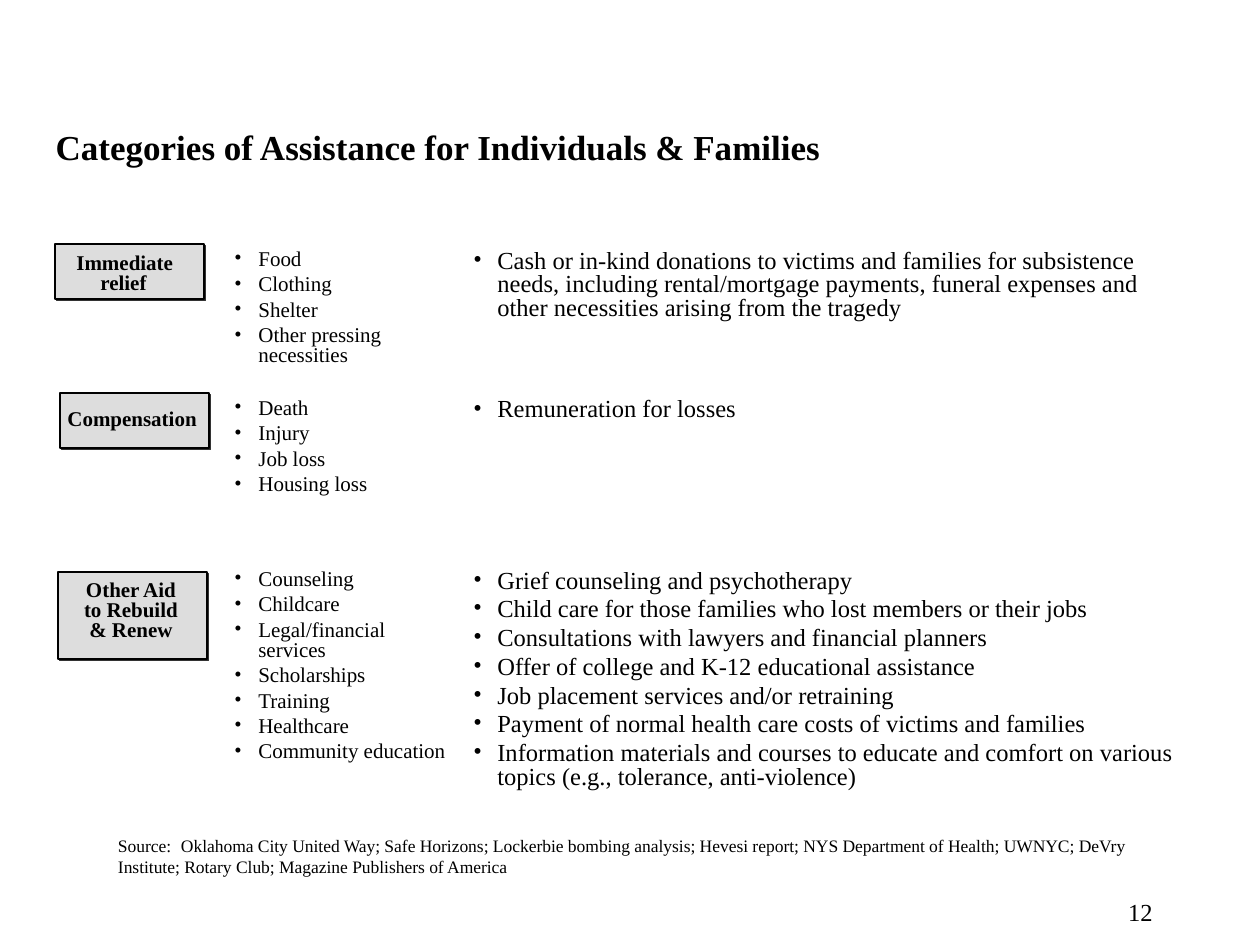
from copy import deepcopy

from lxml import etree
from pptx import Presentation
from pptx import util as u
from pptx.dml.color import RGBColor
from pptx.enum import shapes, text
from pptx.oxml.ns import qn

# Content: places are left, top, width, height in px
PX = 7257.14  # EMU per px, at 126 px to the inch
FONT, INK, PANEL, SHADE = "Times New Roman", "000000", "DDDDDD", "333333"
HANG = 24
LIST_LEFT, DETAIL_LEFT = 222, 461

TITLE = "Categories of Assistance for Individuals & Families"
SOURCE = (
    "Source:\tOklahoma City United Way; Safe Horizons; Lockerbie bombing analysis; "
    "Hevesi report; NYS Department of Health; UWNYC; DeVry Institute; Rotary Club; "
    "Magazine Publishers of America"
)
PAGE_NUMBER = "12"

CATEGORIES = [
    {
        "name": "Immediate relief", "centred": False,
        "panel": (55, 244, 149, 55), "label": (64, 248, 130, 53),
        "top": 244, "list_size": (257, 130), "detail_size": (722, 107),
        "list": ["Food", "Clothing", "Shelter", "Other pressing necessities"],
        "details": [
            "Cash or in-kind donations to victims and families for subsistence "
            "needs, including rental/mortgage payments, funeral expenses and "
            "other necessities arising from the tragedy",
        ],
    },
    {
        "name": "Compensation", "centred": False,
        "panel": (60, 393, 149, 55), "label": (55, 404, 159, 53),
        "top": 393, "list_size": (257, 110), "detail_size": (762, 37),
        "list": ["Death", "Injury", "Job loss", "Housing loss"],
        "details": ["Remuneration for losses"],
    },
    {
        "name": "Other Aid to Rebuild & Renew", "centred": True,
        "panel": (58, 572, 149, 87), "label": (63, 575, 136, 73),
        "top": 564, "list_size": (278, 205), "detail_size": (741, 280),
        "list": [
            "Counseling", "Childcare", "Legal/financial\nservices", "Scholarships",
            "Training", "Healthcare", "Community education",
        ],
        "details": [
            "Grief counseling and psychotherapy",
            "Child care for those families who lost members or their jobs",
            "Consultations with lawyers and financial planners",
            "Offer of college and K-12 educational assistance",
            "Job placement services and/or retraining",
            "Payment of normal health care costs of victims and families",
            "Information materials and courses to educate and comfort on various "
            "topics (e.g., tolerance, anti-violence)",
        ],
    },
]


def px(value):
    return u.Emu(round(value * PX))


def colour(value):
    return RGBColor.from_string(value)


def apply(target, **values):
    for name, value in values.items():
        setattr(target, name, value)


def add_child(parent, tag, **attributes):
    return etree.SubElement(parent, qn(tag), attributes)


def indent(para, margin, first):
    properties = para._p.get_or_add_pPr()
    properties.set("marL", str(px(margin)))
    properties.set("indent", str(px(first)))
    return properties


def write(para, words, size, bold=False, **layout):
    para.text = words
    apply(para, **layout)
    for span in para.runs:
        apply(span.font, name=FONT, size=u.Pt(size), bold=bold)
        span.font.color.rgb = colour(INK)
    for line_break in para._p.findall(qn("a:br")):
        line_break.append(deepcopy(para.runs[0].font._element))


def add_box(parent, place, grow=True):
    box = parent.add_textbox(*map(px, place))
    frame = box.text_frame
    frame.word_wrap = True
    if grow:
        frame.auto_size = text.MSO_AUTO_SIZE.SHAPE_TO_FIT_TEXT
    return frame


def add_list(parent, place, items, size):
    frame = add_box(parent, place)
    for number, item in enumerate(items):
        para = frame.add_paragraph() if number else frame.paragraphs[0]
        write(para, item, size, line_spacing=0.8, space_after=u.Pt(3))
        properties = indent(para, HANG, -HANG)
        add_child(properties, "a:buFont", typeface=FONT)
        add_child(properties, "a:buChar", char="•")


def add_panel(parent, place):
    panel = parent.add_shape(shapes.MSO_SHAPE.RECTANGLE, *map(px, place))
    panel.fill.solid()
    panel.fill.fore_color.rgb = colour(PANEL)
    panel.line.color.rgb = colour(INK)
    panel.line.width = u.Pt(0.75)
    panel.shadow.inherit = False
    effects = panel._element.spPr.find(qn("a:effectLst"))
    shadow = add_child(effects, "a:outerShdw", dist=str(u.Pt(1.4)), dir="2700000",
                       algn="ctr", rotWithShape="0")
    add_child(shadow, "a:srgbClr", val=SHADE)


def add_label(parent, category):
    group = parent.add_group_shape().shapes
    add_panel(group, category["panel"])
    para = add_box(group, category["label"]).paragraphs[0]
    write(para, category["name"], 12, bold=True, line_spacing=0.8)
    if category["centred"]:
        para.alignment = text.PP_ALIGN.CENTER
    else:
        indent(para, HANG, -HANG)


def main():
    deck = Presentation()
    apply(deck, slide_width=u.Inches(10), slide_height=u.Inches(7.5))
    page = deck.slides.add_slide(deck.slide_layouts[5])

    # Title
    title = page.shapes.title
    apply(title, left=px(43), top=px(94), width=px(1071), height=px(105))
    title.text_frame.vertical_anchor = text.MSO_ANCHOR.MIDDLE
    write(title.text_frame.paragraphs[0], TITLE, 20, bold=True,
          alignment=text.PP_ALIGN.LEFT, space_after=u.Pt(12))

    # One row per category: label, short list, details
    for category in CATEGORIES:
        add_label(page.shapes, category)
        top = category["top"]
        add_list(page.shapes, (LIST_LEFT, top, *category["list_size"]),
                 category["list"], 12)
        add_list(page.shapes, (DETAIL_LEFT, top, *category["detail_size"]),
                 category["details"], 14)

    # Source line
    frame = add_box(page.shapes, (39, 835, 1148, 42))
    apply(frame, vertical_anchor=text.MSO_ANCHOR.BOTTOM, margin_left=0,
          margin_top=0, margin_right=0, margin_bottom=0)
    para = frame.paragraphs[0]
    write(para, SOURCE, 10)
    tabs = add_child(indent(para, 79, 0), "a:tabLst")
    add_child(tabs, "a:tab", pos=str(px(126)), algn="l")

    # Page number
    frame = add_box(page.shapes, (903, 891, 262, 34), grow=False)
    write(frame.paragraphs[0], PAGE_NUMBER, 14, alignment=text.PP_ALIGN.RIGHT)

    deck.save("out.pptx")


if __name__ == "__main__":
    main()
